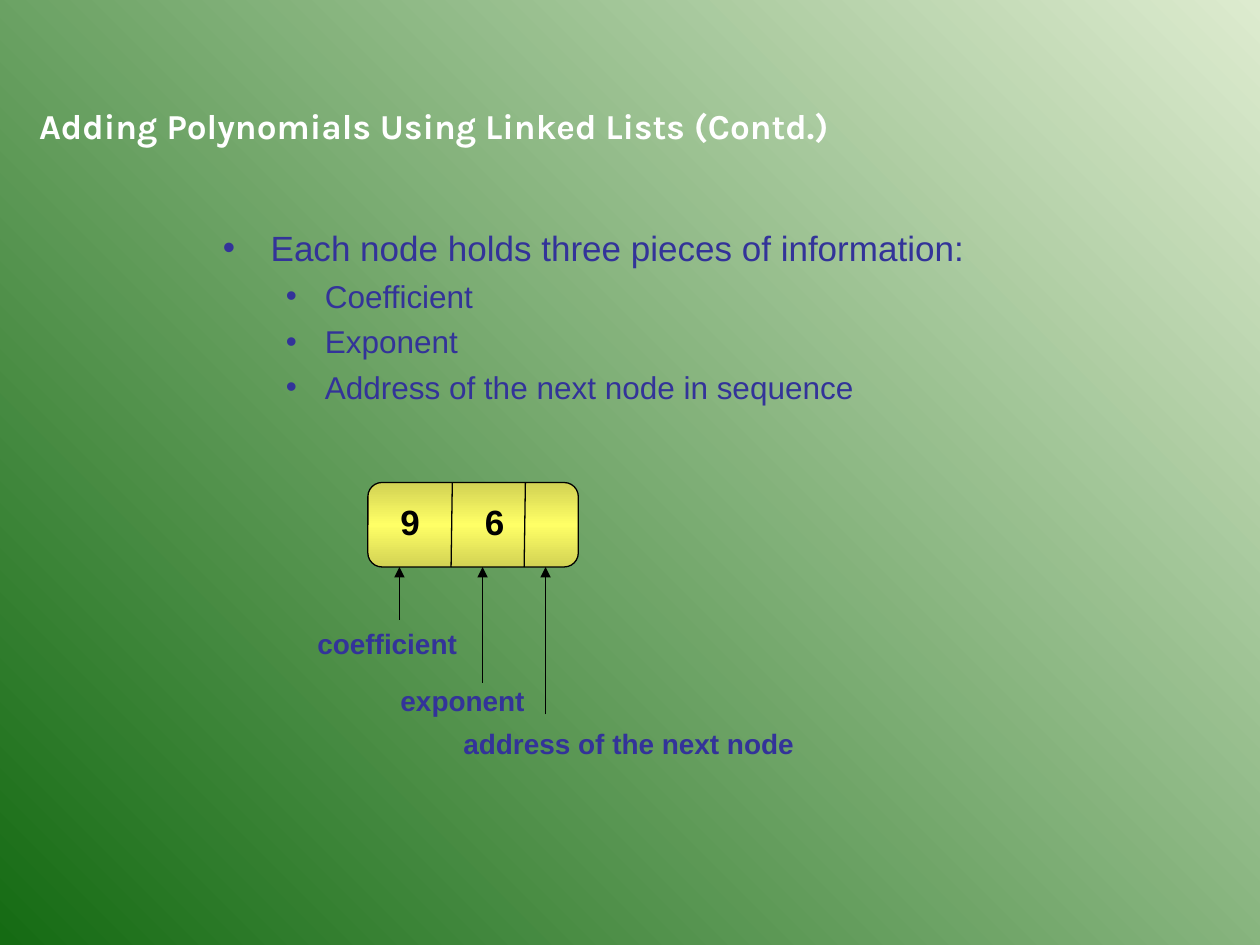
from copy import deepcopy

from lxml.etree import SubElement
from pptx import Presentation
from pptx.dml.color import RGBColor
from pptx.enum.shapes import MSO_CONNECTOR, MSO_SHAPE
from pptx.enum.text import MSO_ANCHOR, PP_ALIGN
from pptx.oxml.ns import qn
from pptx.util import Inches, Pt

INDIGO, BLACK, WHITE = "333399", "000000", "FFFFFF"


def rgb(value):
    return RGBColor.from_string(value)


def set_gradient(fill, element, colors, angle):
    """Spread colors evenly; angle is counterclockwise, in degrees."""
    fill.gradient()
    fill.gradient_angle = angle
    stop_list = next(element.iter(qn("a:gsLst")))
    while len(stop_list) < len(colors):
        stop_list.append(deepcopy(stop_list[-1]))
    for i, (stop, color) in enumerate(zip(fill.gradient_stops, colors)):
        stop.color.rgb = rgb(color)
        stop.position = i / (len(colors) - 1)


def write(p, text, size=16, color=INDIGO, bold=False, font="Arial"):
    r = p.add_run()
    r.text = text
    r.font.size, r.font.bold, r.font.name = Pt(size), bold, font
    r.font.color.rgb = rgb(color)


def add_text(s, x, y, w, h, text, **fmt):
    tf = s.shapes.add_textbox(Inches(x), Inches(y), Inches(w), Inches(h)).text_frame
    tf.word_wrap = True
    write(tf.paragraphs[0], text, **fmt)


def add_line(s, x1, y1, x2, y2, arrow=False):
    line = s.shapes.add_connector(
        MSO_CONNECTOR.STRAIGHT, Inches(x1), Inches(y1), Inches(x2), Inches(y2))
    line.line.color.rgb = rgb(BLACK)
    line.line.width = Pt(0.75)
    if arrow:
        SubElement(line.line._get_or_add_ln(), qn("a:tailEnd"), type="triangle")
    SubElement(line._element.spPr, qn("a:effectLst"))


def add_title(s, x, y, w, h, text):
    title = s.shapes.title
    title.left, title.top, title.width, title.height = map(Inches, (x, y, w, h))
    tf = title.text_frame
    tf.word_wrap = False
    tf.vertical_anchor = MSO_ANCHOR.TOP
    p = tf.paragraphs[0]
    p.alignment = PP_ALIGN.LEFT
    p.space_before = Pt(0)
    write(p, text, size=20, color=WHITE, bold=True, font="Karla")


def add_bullets(s, x, y, w, h, items):
    """Each item is a (level, text) pair."""
    tf = s.shapes.add_textbox(Inches(x), Inches(y), Inches(w), Inches(h)).text_frame
    tf.word_wrap = True
    styles = [(0.38, 0.38, 20, 5), (0.81, 0.31, 18, 4.5)]
    for i, (level, text) in enumerate(items):
        margin, hang, size, before = styles[level]
        p = tf.add_paragraph() if i else tf.paragraphs[0]
        p.level = level
        p.space_before = Pt(before if i else 0)
        pPr = p._p.get_or_add_pPr()
        pPr.set("marL", str(Inches(margin)))
        pPr.set("indent", str(-Inches(hang)))
        bullet_color = SubElement(pPr, qn("a:buClr"))
        SubElement(bullet_color, qn("a:srgbClr"), val=INDIGO)
        SubElement(pPr, qn("a:buFont"), typeface="Arial")
        SubElement(pPr, qn("a:buChar"), char="•")
        write(p, text, size=size)


def add_node(s, x, y, w, h):
    """Draw a three-field list node with labelled arrows below it."""
    box = s.shapes.add_shape(
        MSO_SHAPE.ROUNDED_RECTANGLE, Inches(x), Inches(y), Inches(w), Inches(h))
    box.shadow.inherit = False
    set_gradient(box.fill, box._element, ["D2D254", "FFFF66", "D2D254"], 270)
    box.line.color.rgb = rgb(BLACK)
    box.line.width = Pt(0.75)

    for dx, value in [(0.16, "9"), (0.83, "6")]:
        add_text(s, x + dx, y + 0.09, 0.5, 0.44, value, size=20, color=BLACK, bold=True)
    for dx in (0.67, 1.25):
        add_line(s, x + dx, y, x + dx - 0.01, y + h)

    bottom = y + h
    fields = [  # arrow x, arrow length, label drop, label width, label
        (0.25, 0.42, 0.42, 1.42, "coefficient"),
        (0.91, 0.92, 0.88, 1.42, "exponent"),
        (1.41, 1.17, 1.22, 3.5, "address of the next node"),
    ]
    for dx, length, drop, width, label in fields:
        add_line(s, x + dx, bottom + length, x + dx, bottom, arrow=True)
        add_text(s, x + dx - 0.75, bottom + drop, width, 0.37, label, bold=True)


def main():
    prs = Presentation()
    prs.slide_width, prs.slide_height = Inches(10), Inches(7.5)
    s = prs.slides.add_slide(prs.slide_layouts[5])
    set_gradient(s.background.fill, s._element, ["DDEBCF", "156B13"], 225)
    add_title(s, 0.21, 0.78, 6.71, 0.44, "Adding Polynomials Using Linked Lists (Contd.)")
    add_bullets(s, 1.67, 1.75, 8, 5, [
        (0, "Each node holds three pieces of information:"),
        (1, "Coefficient"),
        (1, "Exponent"),
        (1, "Address of the next node in sequence"),
    ])
    add_node(s, 2.92, 3.83, 1.67, 0.67)
    prs.save("out.pptx")


if __name__ == "__main__":
    main()
